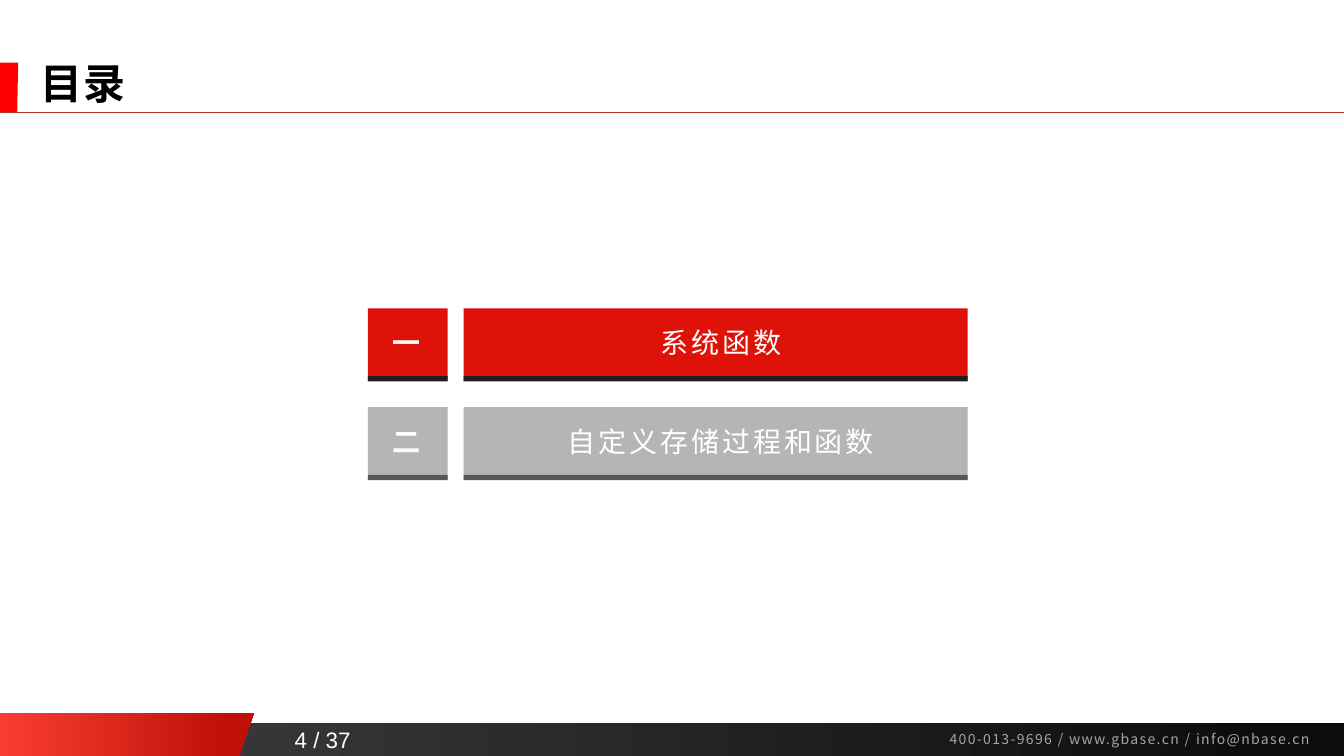
from lxml import etree
from pptx import Presentation
from pptx.dml.color import RGBColor
from pptx.enum.shapes import MSO_CONNECTOR, MSO_SHAPE
from pptx.enum.text import MSO_ANCHOR, PP_ALIGN
from pptx.oxml.ns import qn
from pptx.util import Inches, Pt

RECTANGLE = MSO_SHAPE.RECTANGLE
STRAIGHT = MSO_CONNECTOR.STRAIGHT
LEFT, CENTER = PP_ALIGN.LEFT, PP_ALIGN.CENTER
TOP, MIDDLE, BOTTOM = MSO_ANCHOR.TOP, MSO_ANCHOR.MIDDLE, MSO_ANCHOR.BOTTOM

WHITE = RGBColor(0xFF, 0xFF, 0xFF)
BLACK = RGBColor(0x00, 0x00, 0x00)
CONTACT_GRAY = RGBColor(0xA6, 0xA6, 0xA6)
MARKER_RED = RGBColor(0xFF, 0x00, 0x00)
RULE_RED = RGBColor(0xB8, 0x2E, 0x24)
ACTIVE_RED = RGBColor(0xDE, 0x12, 0x08)
ACTIVE_EDGE = RGBColor(0x20, 0x20, 0x22)
IDLE_GRAY = RGBColor(0xB5, 0xB5, 0xB5)
IDLE_EDGE = RGBColor(0x5A, 0x56, 0x56)
FOOTER_DARK = [(0, RGBColor(0x40, 0x40, 0x40)), (0.94, RGBColor(0x0D, 0x0D, 0x0D))]
FOOTER_RED = [(0, RGBColor(0xF9, 0x3D, 0x32)), (0.91, RGBColor(0xBE, 0x10, 0x07))]
CJK_FONT = "Noto Sans CJK SC"

deck = Presentation()
deck.slide_width = Inches(13.33)
deck.slide_height = Inches(7.5)
col = deck.slide_width / 100
row = deck.slide_height / 100
slide = deck.slides.add_slide(deck.slide_layouts[5])
shapes = slide.shapes


def paint(shape, color):
    shape.shadow.inherit = False
    shape.line.fill.background()
    if isinstance(color, RGBColor):
        shape.fill.solid()
        shape.fill.fore_color.rgb = color
        return
    shape.fill.gradient()
    shape.fill.gradient_angle = 0
    for stop, (position, shade) in zip(shape.fill.gradient_stops, color):
        stop.position = position
        stop.color.rgb = shade


def write(box, text, size, color, align=LEFT, anchor=TOP, bold=False,
          spacing=0, font=CJK_FONT, wrap=True):
    frame = box.text_frame
    frame.text = text
    frame.word_wrap = wrap
    frame.vertical_anchor = anchor
    paragraph = frame.paragraphs[0]
    paragraph.alignment = align
    run = paragraph.runs[0]
    run.font.name = font
    run.font.size = Pt(size)
    run.font.bold = bold
    run.font.color.rgb = color
    properties = run.font._element
    properties.set("spc", str(spacing * 100))
    east_asian = etree.SubElement(properties, qn("a:ea"))
    east_asian.set("typeface", font)


footer_top = 95.6
footer = shapes.add_shape(RECTANGLE, 0, int(footer_top * row),
                          deck.slide_width, int((100 - footer_top) * row))
paint(footer, FOOTER_DARK)

for top, bottom, top_width, bottom_width, color in [
    (94.27, 100, 18.9, 17.78, FOOTER_RED),
    (8.27, 14.93, 1.35, 1.28, MARKER_RED),
]:
    outline = shapes.build_freeform(0, int(top * row))
    outline.add_line_segments([
        (int(top_width * col), int(top * row)),
        (int(bottom_width * col), int(bottom * row)),
        (0, int(bottom * row)),
    ])
    paint(outline.convert_to_shape(), color)

contact = shapes.add_textbox(int(69.92 * col), int(96 * row), int(29.93 * col), int(3.6 * row))
write(contact, "400-013-9696 / www.gbase.cn / info@nbase.cn", 10, CONTACT_GRAY, spacing=1)

rule_y = int(14.8 * row)
title_rule = shapes.add_connector(STRAIGHT, 0, rule_y, deck.slide_width, rule_y)
title_rule.line.color.rgb = RULE_RED
title_rule.line.width = Pt(0.5)
etree.SubElement(title_rule._element.spPr, qn("a:effectLst"))

page = shapes.add_textbox(int(20.56 * col), int(95.33 * row), int(6.9 * col), int(4.93 * row))
write(page, "4 / 37", 16, WHITE, CENTER, BOTTOM, font="Arial", wrap=False)

title = shapes.title
title.left, title.top = int(2.25 * col), int(7.87 * row)
title.width, title.height = int(91.97 * col), int(7.07 * row)
write(title, "目录", 30, BLACK, anchor=MIDDLE, bold=True, spacing=1)
title.text_frame.paragraphs[0].line_spacing = 0.9

first_top, pitch = 40.8, 13.07
tile_height, edge_offset, edge_height = 9.6, 8.95, 0.7
label_offset, label_height = 1.65, 5.87
tile_columns = [(27.38, 5.93), (34.5, 37.5)]

for index, (number, topic, fill, edge) in enumerate([
    ("一", " 系统函数", ACTIVE_RED, ACTIVE_EDGE),
    ("二", " 自定义存储过程和函数", IDLE_GRAY, IDLE_EDGE),
]):
    tile_top = first_top + index * pitch
    for offset, height, color in [(0, tile_height, fill), (edge_offset, edge_height, edge)]:
        for left, width in tile_columns:
            tile = shapes.add_shape(RECTANGLE, int(left * col), int((tile_top + offset) * row),
                                    int(width * col), int(height * row))
            paint(tile, color)
    label_top = int((tile_top + label_offset) * row)
    number_box = shapes.add_textbox(int(28.5 * col), label_top,
                                    int(3.6 * col), int(label_height * row))
    write(number_box, number, 20, WHITE, bold=True, wrap=False)
    topic_box = shapes.add_textbox(int(35.93 * col), label_top,
                                   int(34.73 * col), int(label_height * row))
    write(topic_box, topic, 20, WHITE, CENTER, spacing=2)

deck.save("out.pptx")
